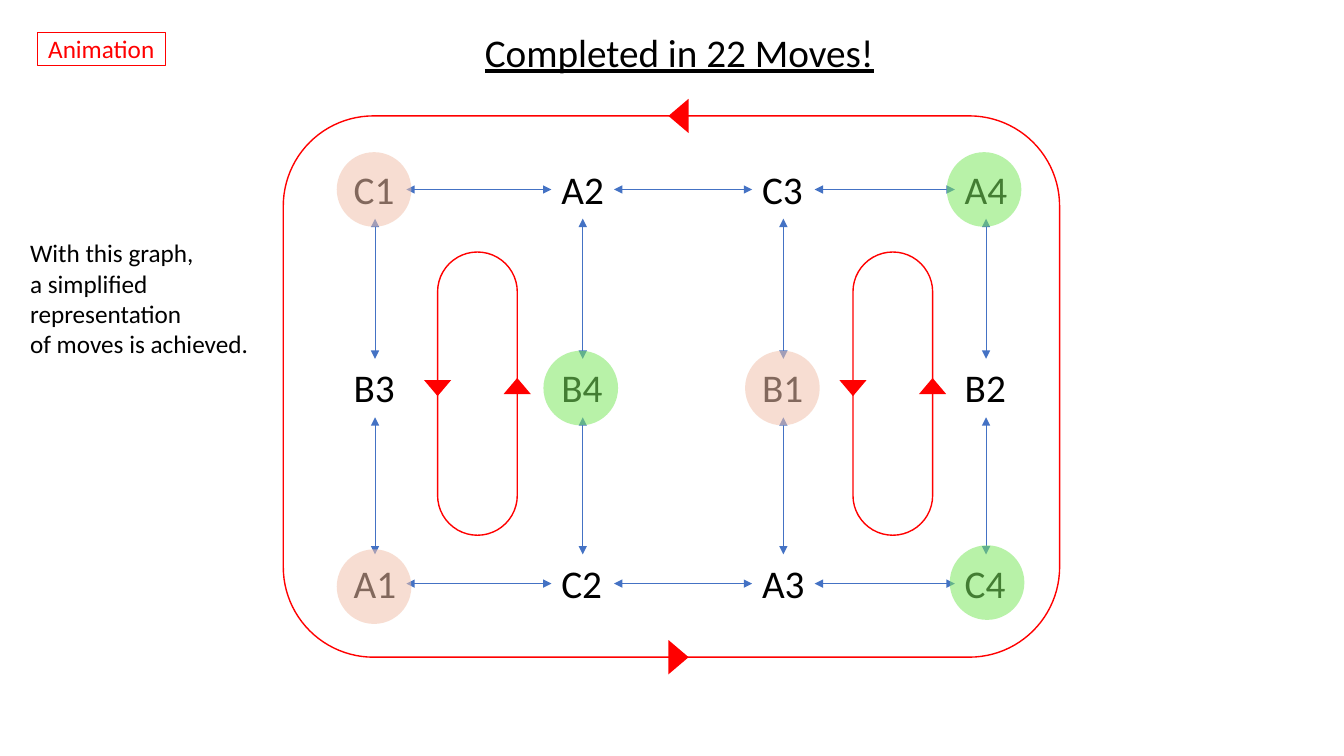
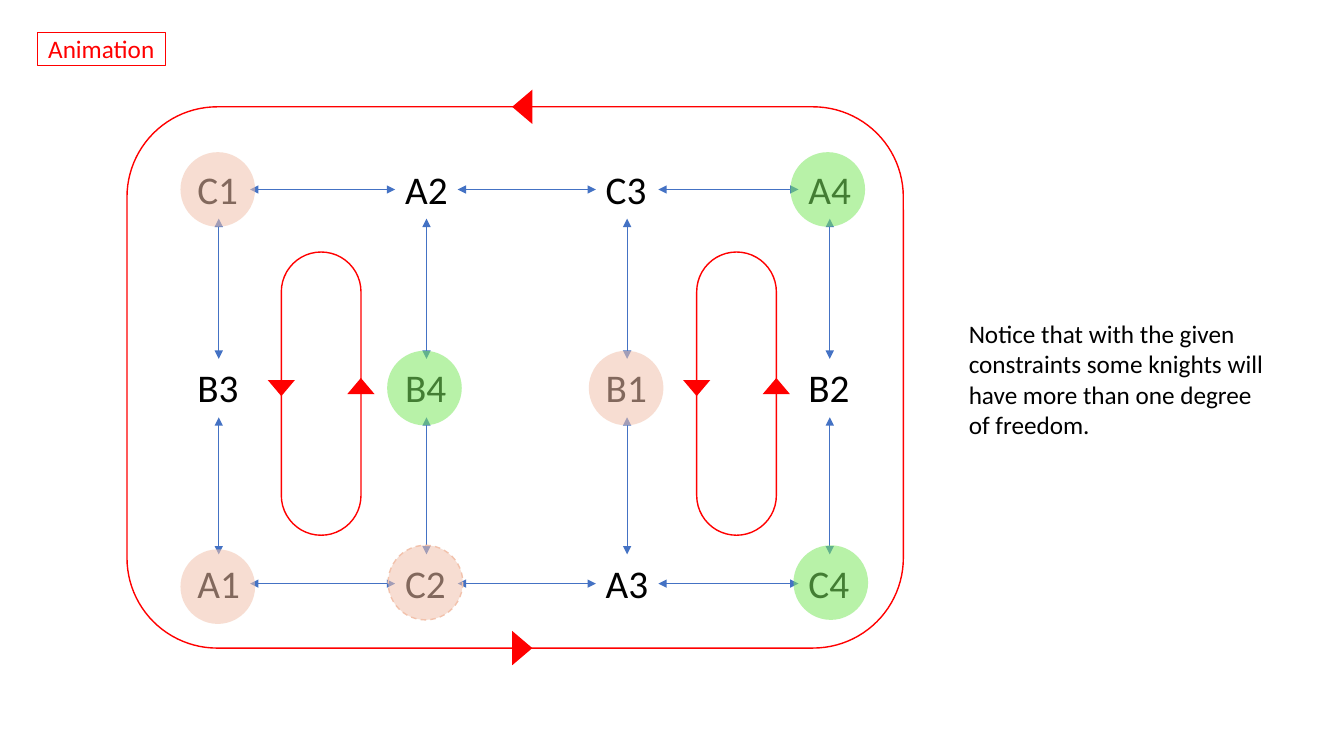
from pptx import Presentation
from pptx.dml.color import RGBColor
from pptx.enum.dml import MSO_LINE
from pptx.enum.shapes import MSO_CONNECTOR, MSO_SHAPE
from pptx.enum.text import MSO_AUTO_SIZE
from pptx.oxml.ns import qn
from pptx.util import Inches, Pt
from lxml import etree

RECT, ROUND = MSO_SHAPE.RECTANGLE, MSO_SHAPE.ROUNDED_RECTANGLE
OVAL, TRI = MSO_SHAPE.OVAL, MSO_SHAPE.ISOSCELES_TRIANGLE
STRAIGHT, DASH = MSO_CONNECTOR.STRAIGHT, MSO_LINE.DASH
FIT = MSO_AUTO_SIZE.SHAPE_TO_FIT_TEXT

BLACK = RGBColor(0x00, 0x00, 0x00)
RED = RGBColor(0xFF, 0x00, 0x00)
BLUE = RGBColor(0x44, 0x72, 0xC4)
GREEN = RGBColor(0x7C, 0xE7, 0x5F)
PEACH = RGBColor(0xF2, 0xC2, 0xAC)

# Content: the graph of squares and the knights standing on it
GRID = [["C1", "A2", "C3", "A4"],
        ["B3", "B4", "B1", "B2"],
        ["A1", "C2", "A3", "C4"]]
KNIGHTS = [("B4", GREEN, -0.02, 0), ("A1", PEACH, -0.01, 0.03),
           ("B1", PEACH, -0.01, 0), ("C1", PEACH, -0.01, 0),
           ("C4", GREEN, 0.01, -0.01), ("A4", GREEN, -0.02, 0)]
TAG = "Animation"
SLIDES = [
    {"shift": 0, "frame": 1.15, "title": "Completed in 22 Moves!",
     "note": "With this graph,\na simplified\nrepresentation\nof moves is achieved.",
     "place": (0.2, 2.31, 2.39, 1.31), "next": None},
    {"shift": -1.55, "frame": 1.06, "title": None,
     "note": "Notice that with the given\nconstraints some knights will\n"
             "have more than one degree\nof freedom.",
     "place": (9.51, 3.11, 3.15, 1.31), "next": "C2"},
]

# Layout in inches
COLS = [3.72, 5.78, 7.77, 9.78]
ROWS = [1.88, 3.85, 5.79]
HALF, RISE = 0.31, 0.29
DISC = 0.74
FRAME_X, FRAME_W, FRAME_H = 2.81, 7.7, 5.37
LOOPS, LOOP_Y, LOOP_W, LOOP_H = [4.34, 8.46], 2.5, 0.79, 2.81
SPOTS = {name: (COLS[c], ROWS[r])
         for r, row in enumerate(GRID) for c, name in enumerate(row)}


def add_text(slide, text, place, size, color=BLACK, wrap=True, line=None):
    box = slide.shapes.add_textbox(*map(Inches, place))
    frame = box.text_frame
    frame.text = text
    frame.word_wrap = wrap
    frame.auto_size = FIT
    style = {"name": "Calibri", "size": Pt(size), "underline": line}
    for para in frame.paragraphs:
        for run in para.runs:
            for key, value in style.items():
                setattr(run.font, key, value)
            run.font.color.rgb = color


def add_part(slide, kind, place, fill=None, line=None, turn=0):
    part = slide.shapes.add_shape(kind, *map(Inches, place))
    part.shadow.inherit = False
    part.rotation = turn
    if fill is None:
        part.fill.background()
    else:
        part.fill.solid()
        part.fill.fore_color.rgb = fill
    if line is None:
        part.line.fill.background()
    else:
        part.line.color.rgb = line
        part.line.width = Pt(1)
    return part


def add_arrow(slide, x1, y1, x2, y2):
    link = slide.shapes.add_connector(STRAIGHT, *map(Inches, (x1, y1, x2, y2)))
    link.line.color.rgb = BLUE
    link.line.width = Pt(0.5)
    for end in ("a:headEnd", "a:tailEnd"):
        etree.SubElement(link.line._get_or_add_ln(), qn(end), type="triangle")
    etree.SubElement(link._element.spPr, qn("a:effectLst"))


def add_disc(slide, x, y, fill=None, line=None):
    place = (x - DISC / 2, y - DISC / 2, DISC, DISC)
    disc = add_part(slide, OVAL, place, fill, line)
    if fill is not None:
        color = disc._element.spPr.find(qn("a:solidFill"))[0]
        etree.SubElement(color, qn("a:alpha"), val="54000")
    return disc


def add_head(slide, x, y, wide, high, turn):
    add_part(slide, TRI, (x - wide / 2, y - high / 2, wide, high), RED, turn=turn)


def add_graph(slide, shift, top):
    # Squares
    for name, (x, y) in SPOTS.items():
        add_text(slide, name, (x + shift - HALF, y - RISE, 0.63, 0.57), 28)
    # Moves between neighbours
    for y in (ROWS[0], ROWS[-1]):
        for a, b in zip(COLS, COLS[1:]):
            add_arrow(slide, a + shift + HALF, y, b + shift - HALF, y)
    for x in COLS:
        for a, b in zip(ROWS, ROWS[1:]):
            add_arrow(slide, x + shift, a + RISE, x + shift, b - RISE)
    # Knights
    for name, color, dx, dy in KNIGHTS:
        x, y = SPOTS[name]
        add_disc(slide, x + shift + dx, y + dy, color)
    # Outer cycle
    left = FRAME_X + shift
    add_part(slide, ROUND, (left, top, FRAME_W, FRAME_H), line=RED)
    mid = left + FRAME_W / 2 + 0.07
    for y, turn in ((top, 270), (top + FRAME_H, 90)):
        add_head(slide, mid, y, 0.34, 0.2, turn)
    # Inner cycles
    for x in LOOPS:
        left = x + shift
        loop = add_part(slide, ROUND, (left, LOOP_Y, LOOP_W, LOOP_H), line=RED)
        loop.adjustments[0] = 0.5
        add_head(slide, left, 3.85, 0.27, 0.16, 180)
        add_head(slide, left + LOOP_W, 3.83, 0.27, 0.16, 0)


deck = Presentation()
deck.slide_width, deck.slide_height = Inches(13.33), Inches(7.5)
for item in SLIDES:
    slide = deck.slides.add_slide(deck.slide_layouts[6])
    add_graph(slide, item["shift"], item["frame"])
    if item["title"]:
        add_text(slide, item["title"], (4.71, 0.23, 5.36, 0.57), 28, line=True)
    # Possible next square
    if item["next"]:
        x, y = SPOTS[item["next"]]
        spot = (x + item["shift"] - 0.01, y - 0.01)
        add_disc(slide, *spot, fill=PEACH)
        add_disc(slide, *spot, line=PEACH).line.dash_style = DASH
    add_text(slide, item["note"], item["place"], 18, wrap=False)
    # Tag
    add_text(slide, TAG, (0.38, 0.28, 1.27, 0.4), 18, RED, wrap=False)
    add_part(slide, RECT, (0.37, 0.32, 1.27, 0.33), line=RED)
deck.save("out.pptx")
